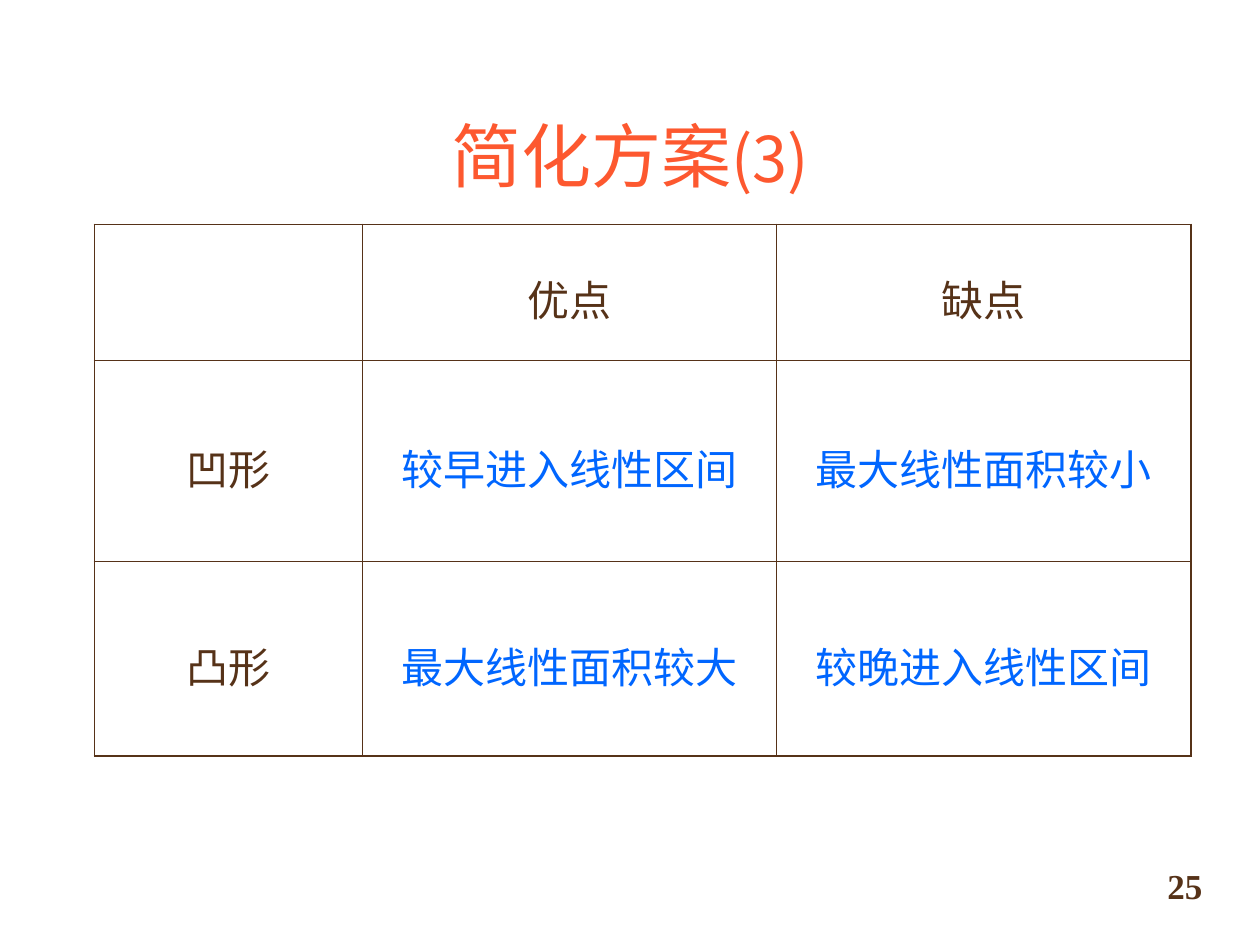
from typing import NamedTuple

from lxml.etree import SubElement
from pptx import Presentation
from pptx.dml.color import RGBColor
from pptx.enum.text import MSO_ANCHOR, PP_ALIGN
from pptx.oxml.ns import qn
from pptx.util import Pt

BROWN = RGBColor(0x56, 0x32, 0x18)
BLUE = RGBColor(0x00, 0x66, 0xFF)
ORANGE = RGBColor(0xFD, 0x58, 0x2F)
THICK, THIN = 1.08, 0.45


class Style(NamedTuple):
    font: str
    size: float
    color: RGBColor
    bold: bool = False


HEAD = Style("Noto Sans CJK JP", 40, ORANGE)
LABEL = Style("Noto Sans CJK SC", 24, BROWN)
POINT = LABEL._replace(color=BLUE)
NUMBER = Style("Times New Roman", 20, BROWN, True)

ROWS = [
    ["", "优点", "缺点"],
    ["凹形", "较早进入线性区间", "最大线性面积较小"],
    ["凸形", "最大线性面积较大", "较晚进入线性区间"],
]
WIDTHS = [152.8, 237, 237]
HEIGHTS = [77.6, 115, 111.4]


def add_run(para, text: str, style: Style) -> None:
    run = para.add_run()
    run.text = text
    font = run.font
    font.size, font.bold, font.name = Pt(style.size), style.bold, style.font
    font.color.rgb = style.color
    SubElement(run._r.get_or_add_rPr(), qn("a:ea"), typeface=style.font)


def set_edge(cell, side: str, width: float) -> None:
    line = SubElement(cell._tc.get_or_add_tcPr(), qn(f"a:ln{side}"),
                      w=str(Pt(width)))
    fill = SubElement(line, qn("a:solidFill"))
    SubElement(fill, qn("a:srgbClr"), val=str(BROWN))


def fill_cell(cell, row: int, col: int, text: str) -> None:
    outer = {"L": col == 0, "R": col == len(WIDTHS) - 1,
             "T": row == 0, "B": row == len(HEIGHTS) - 1}
    for side, edge in outer.items():
        set_edge(cell, side, THICK if edge else THIN)
    cell.fill.background()
    cell.vertical_anchor = MSO_ANCHOR.MIDDLE
    para = cell.text_frame.paragraphs[0]
    para.alignment = PP_ALIGN.CENTER
    para.line_spacing = 1.2
    if text:
        add_run(para, text, POINT if row and col else LABEL)


def add_grid(slide) -> None:
    frame = slide.shapes.add_table(
        len(HEIGHTS), len(WIDTHS), Pt(54), Pt(128.2),
        Pt(sum(WIDTHS)), Pt(sum(HEIGHTS)))
    table = frame.table
    table.first_row = table.horz_banding = False
    for col, width in zip(table.columns, WIDTHS):
        col.width = Pt(width)
    for row, height in zip(table.rows, HEIGHTS):
        row.height = Pt(height)
    for r, texts in enumerate(ROWS):
        for c, text in enumerate(texts):
            fill_cell(table.cell(r, c), r, c, text)


def add_title(slide) -> None:
    title = slide.shapes.title
    title.left, title.top = Pt(54), Pt(62.6)
    title.width, title.height = Pt(612), Pt(51.1)
    title.text_frame.vertical_anchor = MSO_ANCHOR.MIDDLE
    para = title.text_frame.paragraphs[0]
    para.alignment = PP_ALIGN.CENTER
    add_run(para, "简化方案", HEAD)
    add_run(para, "(3)", HEAD._replace(size=36))


def add_number(slide) -> None:
    box = slide.shapes.add_textbox(Pt(544.3), Pt(485.3), Pt(149.8), Pt(36))
    frame = box.text_frame
    frame.word_wrap = True
    frame.vertical_anchor = MSO_ANCHOR.BOTTOM
    para = frame.paragraphs[0]
    para.alignment = PP_ALIGN.RIGHT
    add_run(para, "25", NUMBER)


def main() -> None:
    deck = Presentation()
    deck.slide_width, deck.slide_height = Pt(720), Pt(540)
    slide = deck.slides.add_slide(deck.slide_layouts[5])
    add_title(slide)
    add_grid(slide)
    add_number(slide)
    deck.save("out.pptx")


if __name__ == "__main__":
    main()
